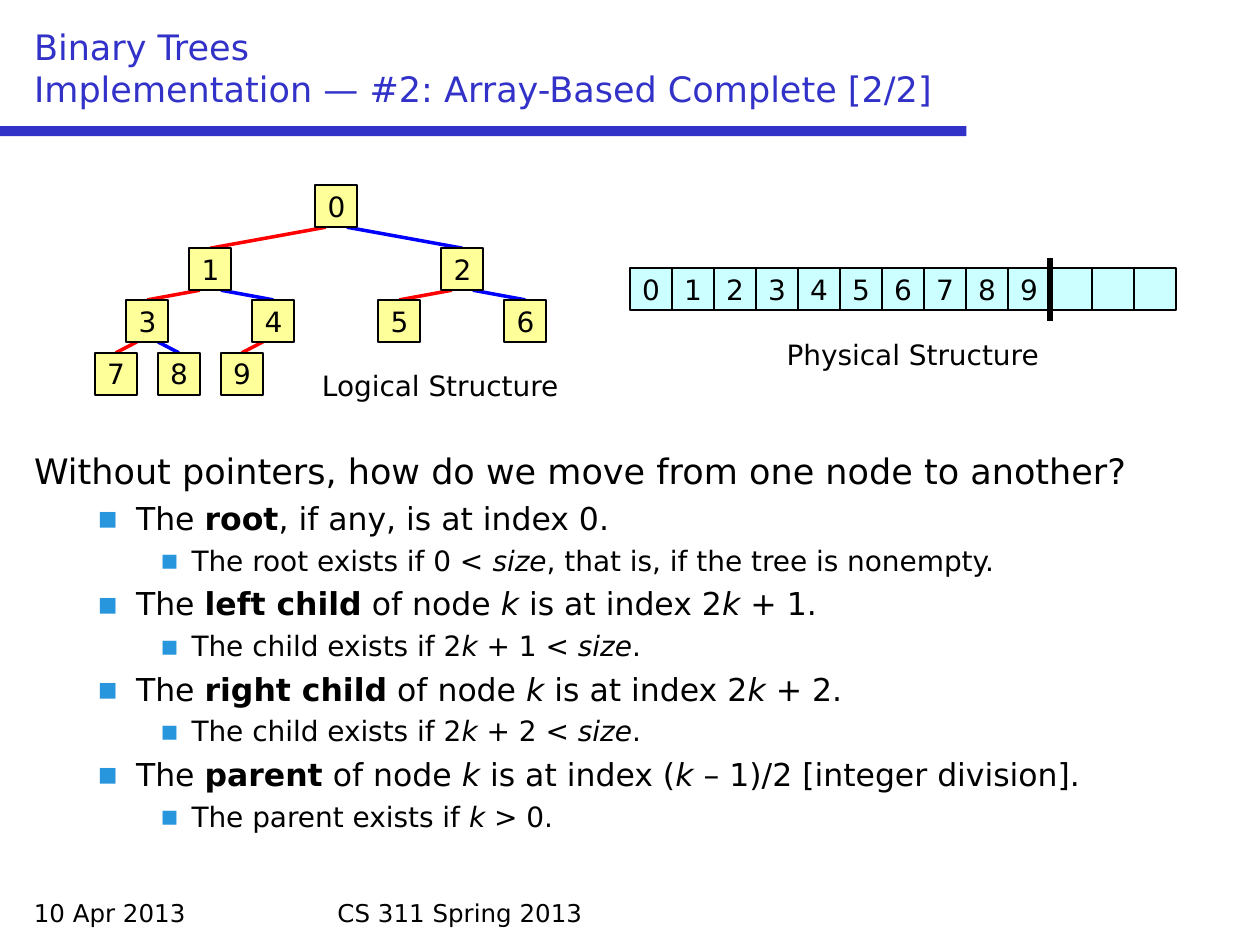
from lxml.etree import SubElement
from pptx import Presentation
from pptx.dml.color import RGBColor
from pptx.enum.shapes import MSO_CONNECTOR, MSO_SHAPE
from pptx.enum.text import MSO_ANCHOR, MSO_AUTO_SIZE, PP_ALIGN
from pptx.oxml.ns import qn
from pptx.util import Inches, Pt


def color(value):
    return RGBColor.from_string(value)


class SlideBuilder:
    font = "DejaVu Sans"
    black, heading, bullet = "000000", "3232C8", "2896DC"
    tree_fill, array_fill = "FFFF99", "CCFFFF"
    left_edge, right_edge = "FF0000", "0000FF"

    def __init__(self, page):
        self.page = page

    def span(self, para, text, size, shade=black, bold=False, italic=False):
        span = para.add_run()
        span.text = text
        font = span.font
        font.name, font.size = self.font, Pt(size)
        font.bold, font.italic = bold, italic
        font.color.rgb = color(shade)

    def place(self, box, left, top, width, height):
        box.left, box.top = Inches(left), Inches(top)
        box.width, box.height = Inches(width), Inches(height)
        frame = box.text_frame
        frame.auto_size = MSO_AUTO_SIZE.NONE
        frame.word_wrap = True
        return frame

    def title(self, lines, *bounds):
        frame = self.place(self.page.shapes.title, *bounds)
        frame.vertical_anchor = MSO_ANCHOR.BOTTOM
        para = frame.paragraphs[0]
        para.alignment = PP_ALIGN.LEFT
        for index, line in enumerate(lines):
            if index:
                para.add_line_break()
            self.span(para, line, 20, self.heading)

    def body(self, items, *bounds):
        # Per level: text size, space before, left margin, first-line indent
        levels = [(20, 0, 0.38, -0.38), (18, 4.2, 0.81, -0.31), (16, 3.7, 1.25, -0.25)]
        frame = self.place(self.page.placeholders[1], *bounds)
        frame.vertical_anchor = MSO_ANCHOR.TOP
        for index, (level, parts) in enumerate(items):
            para = frame.add_paragraph() if index else frame.paragraphs[0]
            size, before, margin, indent = levels[level]
            para.level = level
            para.space_before = Pt(before)
            self.bullets(para, level, margin, indent)
            for text, style in parts:
                self.span(para, text, size, bold=style == "b", italic=style == "i")

    def bullets(self, para, level, margin, indent):
        properties = para._p.get_or_add_pPr()
        properties.set("marL", str(Inches(margin)))
        properties.set("indent", str(Inches(indent)))
        if level == 0:
            SubElement(properties, qn("a:buNone"))
            return
        shade = SubElement(properties, qn("a:buClr"))
        SubElement(shade, qn("a:srgbClr"), val=self.bullet)
        SubElement(properties, qn("a:buFont"), typeface=self.font)
        SubElement(properties, qn("a:buChar"), char="▪")

    def label(self, text, size, left, top, width, height, align=PP_ALIGN.LEFT):
        box = self.page.shapes.add_textbox(0, 0, 0, 0)
        para = self.place(box, left, top, width, height).paragraphs[0]
        para.alignment = align
        self.span(para, text, size)

    def rectangle(self, left, top, width, height, fill, line=None, text=""):
        box = self.page.shapes.add_shape(
            MSO_SHAPE.RECTANGLE, Inches(left), Inches(top), Inches(width), Inches(height))
        box.shadow.inherit = False
        box.fill.solid()
        box.fill.fore_color.rgb = color(fill)
        if line:
            box.line.color.rgb = color(line)
            box.line.width = Pt(1.25)
        else:
            box.line.fill.background()
        if text:
            frame = box.text_frame
            frame.word_wrap = False
            frame.vertical_anchor = MSO_ANCHOR.MIDDLE
            para = frame.paragraphs[0]
            para.alignment = PP_ALIGN.CENTER
            self.span(para, text, 16)

    def line(self, start, end, shade, width):
        connector = self.page.shapes.add_connector(
            MSO_CONNECTOR.STRAIGHT, *(Inches(value) for value in (*start, *end)))
        connector.line.color.rgb = color(shade)
        connector.line.width = Pt(width)
        SubElement(connector._element.spPr, qn("a:effectLst"))


deck = Presentation()
deck.slide_width, deck.slide_height = Inches(10), Inches(7.5)
slide = SlideBuilder(deck.slides.add_slide(deck.slide_layouts[1]))

# Heading, rule and footer
slide.rectangle(0, 1, 7.67, 0.08, slide.heading)
slide.title(["Binary Trees", "Implementation — #2: Array-Based Complete [2/2]"],
            0.17, 0.17, 9.67, 0.75)
slide.label("10 Apr 2013", 14, 0.17, 7.08, 2.33, 0.33)
slide.label("CS 311 Spring 2013", 14, 2.58, 7.08, 4.83, 0.33)


# Rules for moving between nodes
def child_rules(side, offset):
    return [
        (1, [("The ", ""), (f"{side} child", "b"), (" of node ", ""), ("k", "i"),
             (" is at index 2", ""), ("k", "i"), (f" + {offset}.", "")]),
        (2, [("The child exists if 2", ""), ("k", "i"), (f" + {offset} < ", ""),
             ("size", "i"), (".", "")]),
    ]


slide.body([
    (0, [("Without pointers, how do we move from one node to another?", "")]),
    (1, [("The ", ""), ("root", "b"), (", if any, is at index 0.", "")]),
    (2, [("The root exists if 0 < ", ""), ("size", "i"),
         (", that is, if the tree is nonempty.", "")]),
    *child_rules("left", 1),
    *child_rules("right", 2),
    (1, [("The ", ""), ("parent", "b"), (" of node ", ""), ("k", "i"),
         (" is at index (", ""), ("k", "i"), (" – 1)/2 [integer division].", "")]),
    (2, [("The parent exists if ", ""), ("k", "i"), (" > 0.", "")]),
], 0.17, 3.52, 9.67, 3.48)

# Physical structure: array cells and the end-of-data mark
cell = 1 / 3
node_count, capacity = 10, 13
for index in range(capacity):
    text = str(index) if index < node_count else ""
    slide.rectangle(5 + index * cell, 2.13, cell, cell, slide.array_fill, slide.black, text)
data_end = 5 + node_count * cell
slide.line((data_end, 2.05), (data_end, 2.55), slide.black, 3)
slide.label("Physical Structure", 16, 6.08, 2.63, 2.33, 0.37, PP_ALIGN.CENTER)

# Logical structure: centre and top of each node follow from its parent
row_tops = [1.47, 1.97, 2.38, 2.8]
nodes = [(2.67, 0)]
for index in range(1, node_count):
    center, depth = nodes[(index - 1) // 2]
    side = -1 if index % 2 else 1
    nodes.append((center + side / 2 ** depth, depth + 1))
    shade = slide.left_edge if side < 0 else slide.right_edge
    slide.line((center + side * cell / 4, row_tops[depth] + cell),
               (nodes[index][0], row_tops[depth + 1]), shade, 2)
for index, (center, depth) in enumerate(nodes):
    slide.rectangle(center - cell / 2, row_tops[depth], cell, cell,
                    slide.tree_fill, slide.black, str(index))
slide.label("Logical Structure", 16, 2.33, 2.88, 2.33, 0.37, PP_ALIGN.CENTER)

deck.save("out.pptx")
